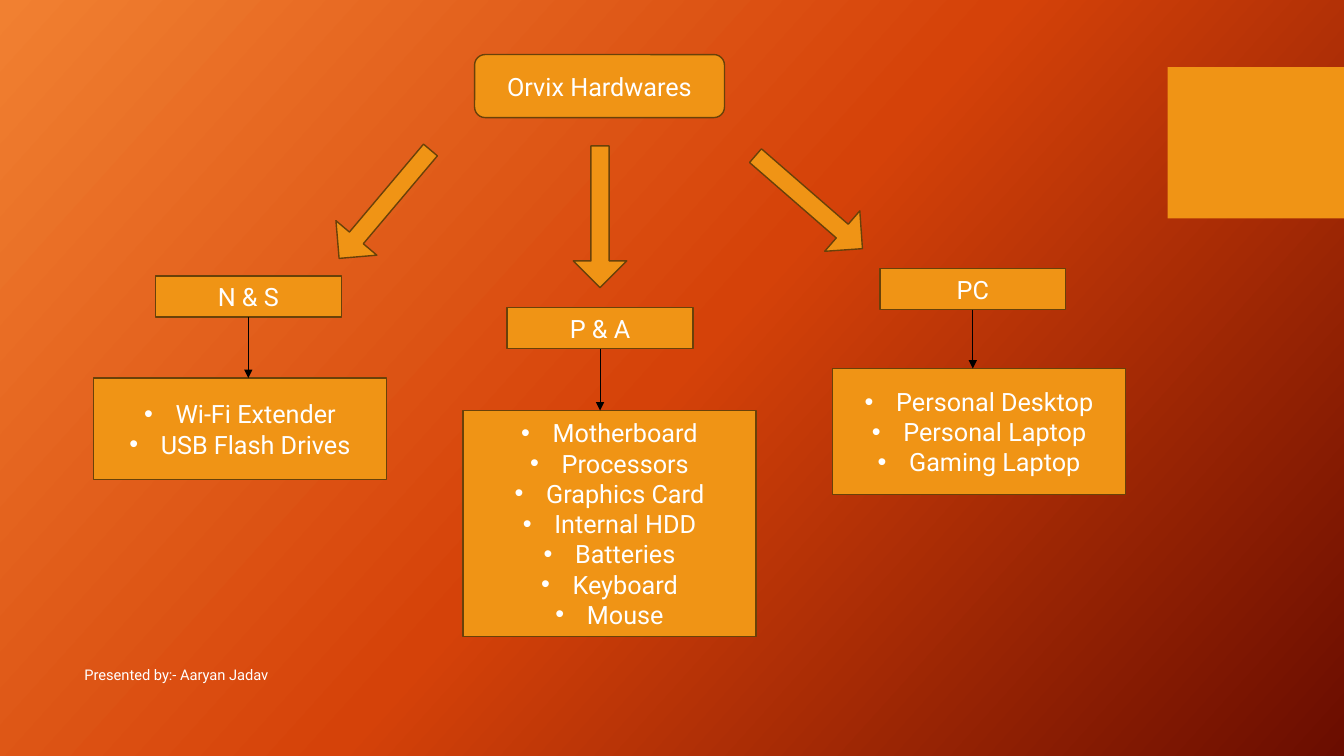
from lxml.etree import SubElement
from pptx import Presentation
from pptx.dml.color import RGBColor
from pptx.enum.shapes import MSO_CONNECTOR as Connector, MSO_SHAPE as Shape
from pptx.enum.text import MSO_ANCHOR as Anchor, PP_ALIGN as Align
from pptx.oxml.ns import qn
from pptx.util import Pt

PX = 9525
ORANGE = RGBColor(0xF0, 0x94, 0x15)
BROWN = RGBColor(0x69, 0x41, 0x09)
WHITE = RGBColor(0xFF, 0xFF, 0xFF)
BLACK = RGBColor(0x00, 0x00, 0x00)
GRADIENT = [
    (0, RGBColor(0xF1, 0x80, 0x31)),
    (50, RGBColor(0xD5, 0x42, 0x09)),
    (100, RGBColor(0x6A, 0x0D, 0x00)),
]
GRADIENT_ANGLE = 42
BULLET_INDENT = 30

LABEL_WIDTH, LABEL_HEIGHT = 177, 39
LIST_WIDTH = 279
ARROW_WIDTH, ARROW_HEIGHT = 51, 135

COMPANY = ("Orvix Hardwares", (452, 52, 238, 60))
DIVISION_ARROWS = [(341, 127, 40.1), (546, 139, 0), (745, 125, 311)]
DIVISIONS = [
    ("N & S", (148, 263), (89, 360, 97), ["Wi-Fi Extender", "USB Flash Drives"]),
    ("P & A", (483, 293), (441, 391, 215),
     ["Motherboard", "Processors", "Graphics Card", "Internal HDD",
      "Batteries", "Keyboard", "Mouse"]),
    ("PC", (838, 256), (793, 351, 120),
     ["Personal Desktop", "Personal Laptop", "Gaming Laptop"]),
]


def to_emu(*lengths):
    return [round(length * PX) for length in lengths]


def apply_format(target, values):
    for name, value in values.items():
        setattr(target, name, value)


def paint_background(page):
    fill = page.background.fill
    fill.gradient()
    fill.gradient_angle = 360 - GRADIENT_ANGLE
    stops = page.element.find(".//" + qn("a:gsLst"))
    for stop in list(stops):
        stops.remove(stop)
    for percent, color in GRADIENT:
        stop = SubElement(stops, qn("a:gs"), pos=str(percent * 1000))
        SubElement(stop, qn("a:srgbClr"), val=str(color))


def add_block(page, kind, box, outlined=True):
    block = page.shapes.add_shape(kind, *to_emu(*box))
    block.shadow.inherit = False
    block.fill.solid()
    block.fill.fore_color.rgb = ORANGE
    if outlined:
        block.line.color.rgb = BROWN
        block.line.width = Pt(1)
    else:
        block.line.fill.background()
    return block


def write_lines(shape, lines, size=18, align=Align.CENTER, bulleted=False):
    frame = shape.text_frame
    apply_format(frame, {"word_wrap": True, "vertical_anchor": Anchor.MIDDLE})
    for index, line in enumerate(lines):
        para = frame.add_paragraph() if index else frame.paragraphs[0]
        para.alignment = align
        if bulleted:
            add_bullet(para)
        span = para.add_run()
        span.text = line
        apply_format(span.font, {"name": "Roboto", "size": Pt(size)})
        span.font.color.rgb = WHITE


def add_bullet(para):
    props = para._p.get_or_add_pPr()
    indent = BULLET_INDENT * PX
    props.set("marL", str(indent))
    props.set("indent", str(-indent))
    SubElement(props, qn("a:buFont"), typeface="Arial")
    SubElement(props, qn("a:buChar"), char="•")


def add_company(page, name, box):
    write_lines(add_block(page, Shape.ROUNDED_RECTANGLE, box), [name])


def add_division_arrow(page, left, top, rotation):
    arrow = add_block(page, Shape.DOWN_ARROW, (left, top, ARROW_WIDTH, ARROW_HEIGHT))
    arrow.adjustments[0] = 0.34
    arrow.adjustments[1] = 0.5
    arrow.rotation = rotation


def add_division(page, name, label_corner, list_box, products):
    label = add_block(page, Shape.RECTANGLE, (*label_corner, LABEL_WIDTH, LABEL_HEIGHT))
    write_lines(label, [name])
    left, top, height = list_box
    product_list = add_block(page, Shape.RECTANGLE, (left, top, LIST_WIDTH, height))
    write_lines(product_list, products, bulleted=True)
    add_link(page, label, product_list)


def add_link(page, label, product_list):
    middle = label.left + label.width // 2
    link = page.shapes.add_connector(
        Connector.STRAIGHT, middle, label.top + label.height, middle, product_list.top)
    link.begin_connect(label, 2)
    link.line.color.rgb = BLACK
    link.line.width = Pt(0.75)
    SubElement(link.line._get_or_add_ln(), qn("a:tailEnd"), type="triangle")
    SubElement(link._element.spPr, qn("a:effectLst"))


def add_presenter(page, text, box):
    write_lines(page.shapes.add_textbox(*to_emu(*box)), [text], 10.5, Align.LEFT)


def build_product_tree(page):
    paint_background(page)
    add_block(page, Shape.RECTANGLE, (1112, 64, 168, 144), outlined=False)
    add_presenter(page, "Presented by:- Aaryan Jadav", (71, 623, 721, 38))
    add_company(page, *COMPANY)
    for arrow in DIVISION_ARROWS:
        add_division_arrow(page, *arrow)
    for division in DIVISIONS:
        add_division(page, *division)


def main():
    deck = Presentation()
    deck.slide_width, deck.slide_height = to_emu(1280, 720)
    build_product_tree(deck.slides.add_slide(deck.slide_layouts[6]))
    deck.save("out.pptx")


if __name__ == "__main__":
    main()
